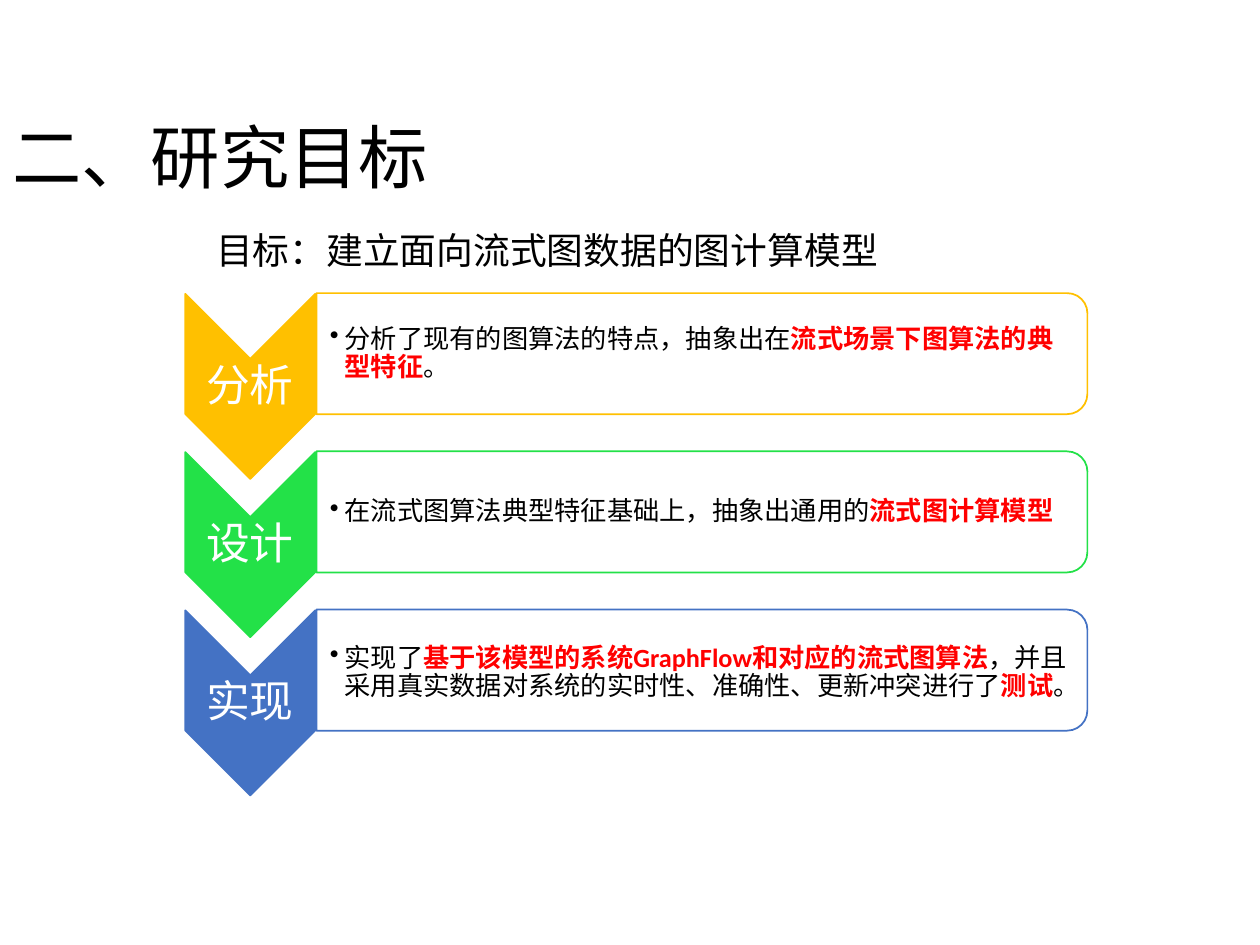
import pptx
import pptx.util
import pptx.oxml.ns
import pptx.dml.color
import pptx.enum.text
import pptx.enum.shapes
import lxml.etree

Cm = pptx.util.Cm
Pt = pptx.util.Pt
qn = pptx.oxml.ns.qn
Kind = pptx.enum.shapes.MSO_SHAPE
Anchor = pptx.enum.text.MSO_ANCHOR
Align = pptx.enum.text.PP_ALIGN

HUES = {"ink": "000000", "white": "FFFFFF", "red": "FF0000",
        "gold": "FFC000", "green": "23E148", "blue": "4472C4"}
STEP = 3.19
ROWS = [
    ("分析", "gold", [("分析了现有的图算法的特点，抽象出在", False),
                    ("流式场景下图算法的典型特征", True), ("。", False)], {}),
    ("设计", "green", [("在流式图算法典型特征基础上，抽象出通用的", False),
                     ("流式图计算模型", True)], {}),
    ("实现", "blue", [("实现了", False),
                    ("基于该模型的系统GraphFlow和对应的流式图算法", True),
                    ("，并且采用真实数据对系统的实时性、准确性、更新冲突进行了", False),
                    ("测试", True), ("。", False)],
     {"vertical_anchor": Anchor.TOP, "margin_top": Cm(0.57)}),
]


def apply(item, vals):
    for key, val in vals.items():
        setattr(item, key, val)


def tint(name):
    return pptx.dml.color.RGBColor.from_string(HUES[name])


class Board:
    font = "Calibri"

    def __init__(self, deck):
        self.slide = deck.slides.add_slide(deck.slide_layouts[6])

    def text(self, box, runs, size, hue="ink", frame=None, para=None, bullet=False):
        shape = self.slide.shapes.add_textbox(*map(Cm, box))
        body = shape.text_frame
        apply(body, {"word_wrap": True, **(frame or {})})
        line = body.paragraphs[0]
        apply(line, para or {})
        if bullet:
            props = line._p.get_or_add_pPr()
            apply_ind = {"marL": Cm(0.3), "indent": -Cm(0.3)}
            for key, val in apply_ind.items():
                props.set(key, str(int(val)))
            lxml.etree.SubElement(props, qn("a:buChar")).set("char", "•")
        for words, strong in runs:
            run = line.add_run()
            run.text = words
            apply(run.font, {"name": self.font, "size": Pt(size), "bold": strong})
            run.font.color.rgb = tint("red" if strong else hue)

    def shape(self, kind, box, fill, edge, alpha=None):
        shape = self.slide.shapes.add_shape(kind, *map(Cm, box))
        shape.rotation = 90
        shape.shadow.inherit = False
        shape.fill.solid()
        shape.fill.fore_color.rgb = tint(fill)
        shape.line.color.rgb = tint(edge)
        shape.line.width = Pt(1)
        if alpha:
            color = shape._element.spPr.find(qn("a:solidFill"))[0]
            lxml.etree.SubElement(color, qn("a:alpha")).set("val", str(alpha * 1000))

    def row(self, drop, label, hue, runs, extra):
        self.shape(Kind.CHEVRON, (3.18, 6.48 + drop, 3.73, 2.62), hue, hue)
        pads = dict.fromkeys(
            ("margin_left", "margin_top", "margin_right", "margin_bottom"), Cm(0.04))
        self.text((3.73, 7.24 + drop, 2.62, 1.12), [(label, False)], 25, "white",
                  {"vertical_anchor": Anchor.MIDDLE, **pads},
                  {"alignment": Align.CENTER, "line_spacing": 0.9})
        self.shape(Kind.ROUND_2_SAME_RECTANGLE, (12.93, -0.64 + drop, 2.44, 15.54),
                   "white", hue, 90)
        frame = {"vertical_anchor": Anchor.MIDDLE, **pads, "margin_left": Cm(0.3), **extra}
        self.text((6.35, 6.05 + drop, 15.42, 2.18), runs, 15, frame=frame,
                  para={"line_spacing": 0.9}, bullet=True)


def main():
    deck = pptx.Presentation()
    apply(deck, {"slide_width": Cm(25.4), "slide_height": Cm(19.05)})
    board = Board(deck)
    board.text((0, 2.34, 21.89, 1.8), [("二、研究目标", False)], 39.6,
               frame={"vertical_anchor": Anchor.MIDDLE}, para={"line_spacing": 0.9})
    board.text((4.11, 4.47, 17.02, 1.14),
               [("目标：建立面向流式图数据的图计算模型", False)], 21)
    for rank, row in enumerate(ROWS):
        board.row(rank * STEP, *row)
    deck.save("out.pptx")


if __name__ == "__main__":
    main()
